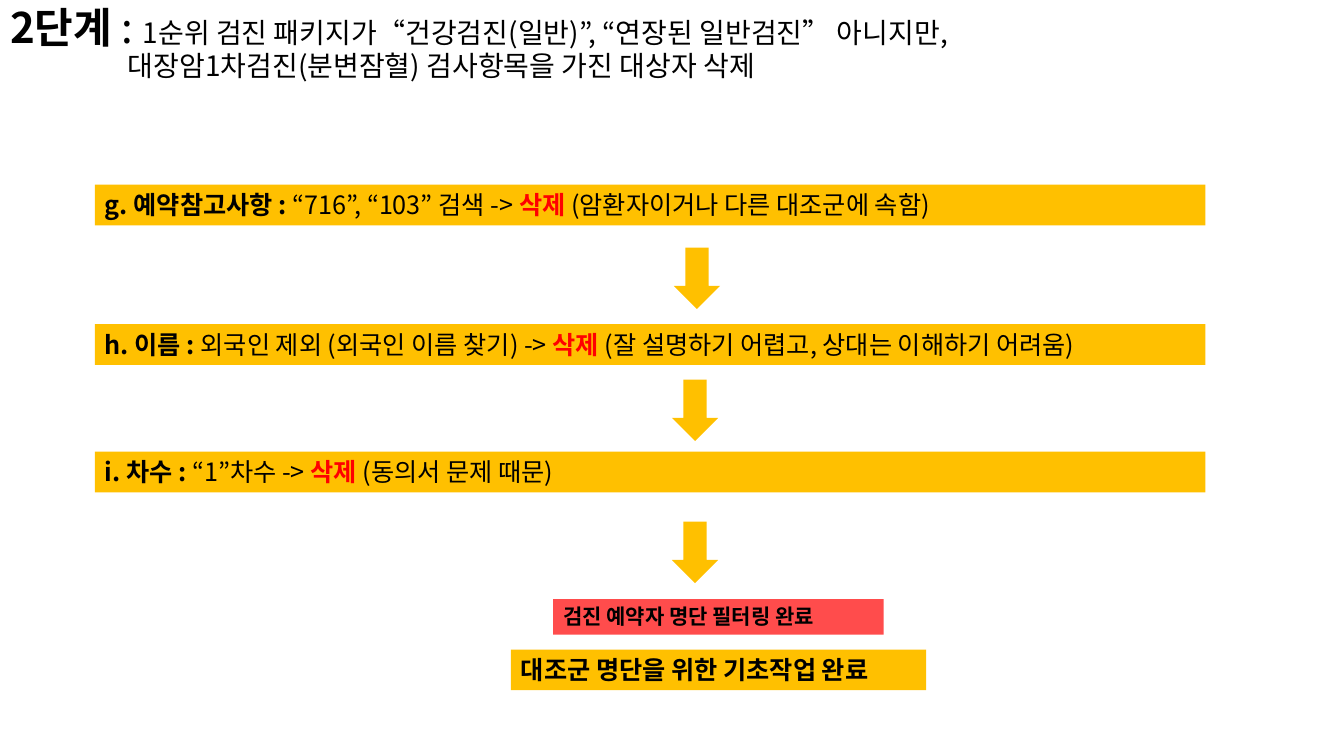
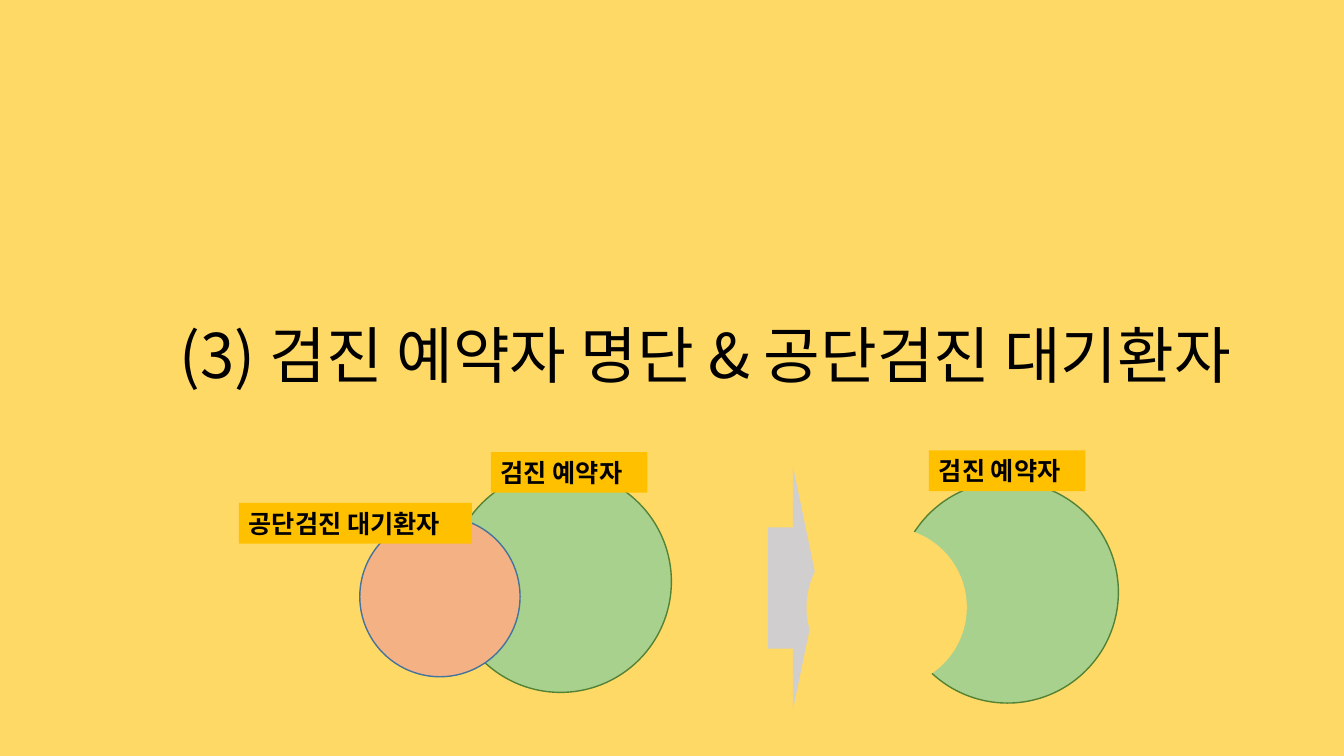
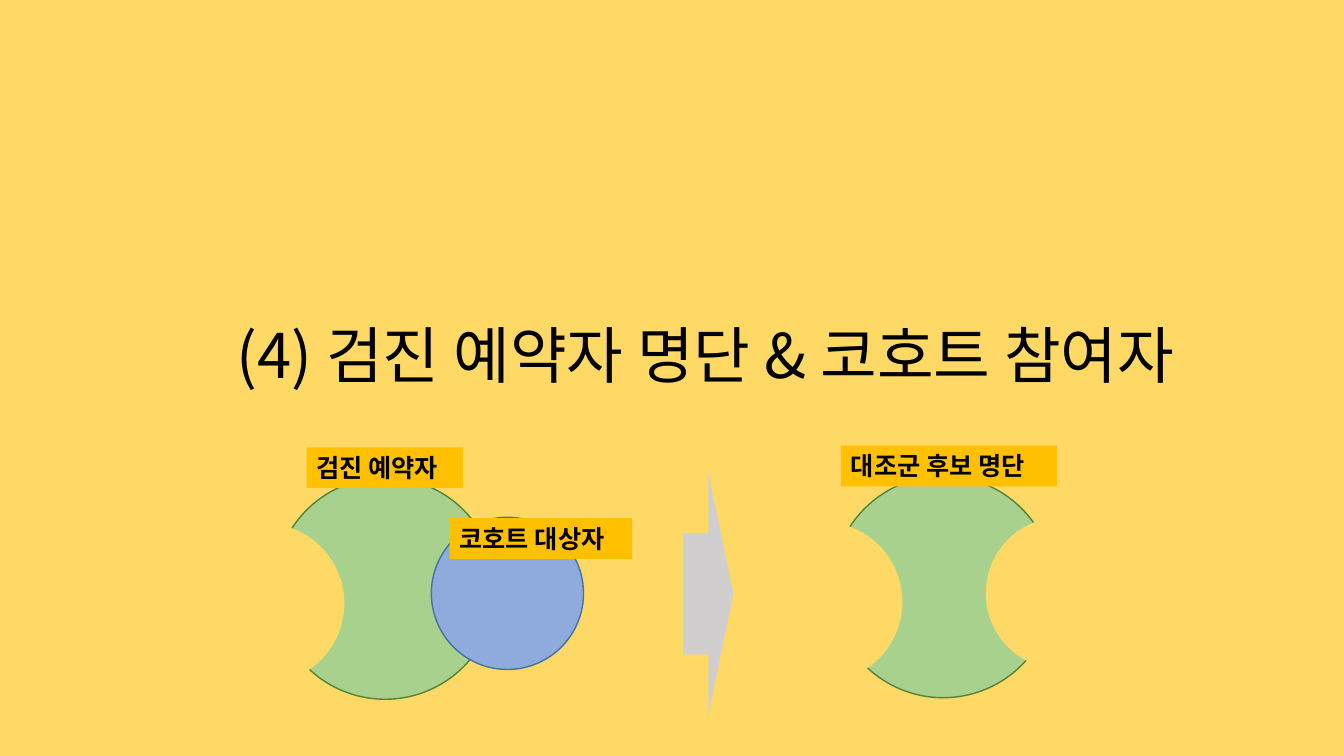
from lxml import etree
from pptx import Presentation
from pptx.dml.color import RGBColor
from pptx.enum.shapes import MSO_SHAPE
from pptx.enum.text import MSO_ANCHOR, MSO_AUTO_SIZE, PP_ALIGN
from pptx.oxml.ns import qn
from pptx.util import Pt

OVAL = MSO_SHAPE.OVAL
RIGHT = MSO_SHAPE.RIGHT_ARROW
DOWN = MSO_SHAPE.DOWN_ARROW
MIDDLE = MSO_ANCHOR.MIDDLE
FIXED, GROW = MSO_AUTO_SIZE.NONE, MSO_AUTO_SIZE.SHAPE_TO_FIT_TEXT
LEFT, CENTER = PP_ALIGN.LEFT, PP_ALIGN.CENTER

FONT = "Noto Sans CJK KR"
BLACK, RED, WHITE = "000000", "FF0000", "FFFFFF"
GOLD, SAND, PEACH, GRAY = "FFC000", "FFD966", "F8CBAD", "D0CECE"
GREEN, MOSS = "A9D18E", "548235"
CORAL, SKY, NAVY = "F4B183", "8FAADC", "43739E"

BAR_H = 29.08
BIG, MID, SMALL = 158.4, 114.5, 108.7


def paint(fill, color, alpha=None):
    fill.solid()
    fill.fore_color.rgb = RGBColor.from_string(color)
    if alpha:
        tone = fill._xPr.find(qn("a:solidFill"))[0]
        etree.SubElement(tone, qn("a:alpha")).set("val", str(alpha * 1000))


def write(para, text, size, bold=False, color=BLACK):
    """Add one run to a paragraph."""
    run = para.add_run()
    run.text = text
    font = run.font
    font.name, font.size, font.bold = FONT, Pt(size), bold
    font.color.rgb = RGBColor.from_string(color)
    etree.SubElement(font._element, qn("a:ea")).set("typeface", FONT)


def place(shape, box):
    shape.left, shape.top, shape.width, shape.height = map(Pt, box)


def start(deck, back, box, lines, align):
    """Add a slide with its background and title; a line is (indent, runs)."""
    slide = deck.slides.add_slide(deck.slide_layouts[5])
    paint(slide.background.fill, back)
    title = slide.shapes.title
    place(title, box)
    frame = title.text_frame
    frame.auto_size, frame.word_wrap = FIXED, True
    frame.vertical_anchor = MIDDLE
    for i, (indent, runs) in enumerate(lines):
        para = frame.add_paragraph() if i else frame.paragraphs[0]
        para.alignment, para.line_spacing = align, 0.9
        para.space_before = Pt(0)
        if indent:
            para._p.get_or_add_pPr().set("marL", str(Pt(indent)))
        for run in runs:
            write(para, *run)
    return slide


def label(slide, box, runs, color=GOLD, alpha=None):
    shape = slide.shapes.add_textbox(*map(Pt, box))
    paint(shape.fill, color, alpha)
    frame = shape.text_frame
    frame.word_wrap, frame.auto_size = True, GROW
    for run in runs:
        write(frame.paragraphs[0], *run)


def draw(slide, kind, box, color, line=None, turn=0):
    """Add a plain shape without text."""
    shape = slide.shapes.add_shape(kind, *map(Pt, box))
    shape.shadow.inherit = False
    shape.rotation = turn
    paint(shape.fill, color)
    if line:
        paint(shape.line.fill, line)
        shape.line.width = Pt(1)
    else:
        shape.line.fill.background()
    return shape


def venn(slide, left, top, discs, tags):
    """Draw a large disc, then smaller ones and tags offset from its corner."""
    draw(slide, OVAL, (left, top, BIG, BIG), GREEN, MOSS)
    for dx, dy, size, color, line in discs:
        draw(slide, OVAL, (left + dx, top + dy, size, size), color, line)
    for dx, dy, width, text in tags:
        box = (left + dx, top + dy, width, BAR_H)
        label(slide, box, [(text, 18, True)])


def filter_slide(deck):
    head = [
        (0, [("2단계 ", 30, True), (": ", 30),
             ("1순위 검진 패키지가“건강검진(일반)”, “연장된 일반검진” 아니지만,", 20)]),
        (84, [("대장암1차검진(분변잠혈) 검사항목을 가진 대상자 삭제", 20)]),
    ]
    slide = start(deck, WHITE, (0, 0, 960, 64.4), head, LEFT)
    steps = [
        (131.9, "g. 예약참고사항 : ", "“716”, “103” 검색 -> ",
         "(암환자이거나 다른 대조군에 속함)"),
        (231.6, "h. 이름 : ", "외국인 제외 (외국인 이름 찾기) -> ",
         "(잘 설명하기 어렵고, 상대는 이해하기 어려움)"),
        (322.6, "i. 차수 : ", "“1”차수 -> ", "(동의서 문제 때문)"),
    ]
    for top, name, rule, why in steps:
        label(slide, (67.7, top, 793.4, BAR_H),
              [(name, 18, True), (rule, 18), ("삭제 ", 18, True, RED), (why, 18)])
    for left, top in ((475.9, 182.2), (474.5, 276.5), (474.5, 378)):
        draw(slide, RIGHT, (left, top, 43.9, 33.1), GOLD, turn=90)
    label(slide, (395.2, 427.9, 236, 25.4),
          [("검진 예약자 명단 필터링 완료", 15, True)], RED, 70)
    label(slide, (365, 464, 296.5, BAR_H),
          [("대조군 명단을 위한 기초작업 완료", 18, True)])


def section(deck, text, arrow, before, after):
    """Add a divider slide: a title over two diagrams with an arrow between."""
    head = [(0, [(text, 44)])]
    slide = start(deck, SAND, (72, 204, 864, 104.4), head, CENTER)
    venn(slide, *before)
    draw(slide, DOWN, (*arrow, 173.5, 36), GRAY, turn=270)
    venn(slide, *after)


def main():
    deck = Presentation()
    deck.slide_width, deck.slide_height = Pt(960), Pt(540)
    filter_slide(deck)
    bite = (-64.4, 32.7, MID, SAND, None)
    section(
        deck, "(3) 검진 예약자 명단 & 공단검진 대기환자", (479.7, 402),
        (321.2, 336.2, [(-64.2, 32.7, MID, CORAL, NAVY)],
         [(-150.6, 23, 166.5, "공단검진 대기환자"),
          (29.4, -13.3, 111.8, "검진 예약자")]),
        (640.5, 343.8, [bite], [(23.1, -22, 111.8, "검진 예약자")]))
    section(
        deck, "(4) 검진 예약자 명단 & 코호트 참여자", (419.2, 406),
        (195.9, 341.1, [bite, (112.2, 28.4, SMALL, SKY, NAVY)],
         [(23.1, -21.6, 111.8, "검진 예약자"),
          (125.3, 29.1, 130.3, "코호트 대상자")]),
        (594.5, 340, [bite, (109.6, 29.4, SMALL, SAND, None)],
         [(6.2, -21.6, 154.5, "대조군 후보 명단")]))
    deck.save("out.pptx")


if __name__ == "__main__":
    main()
